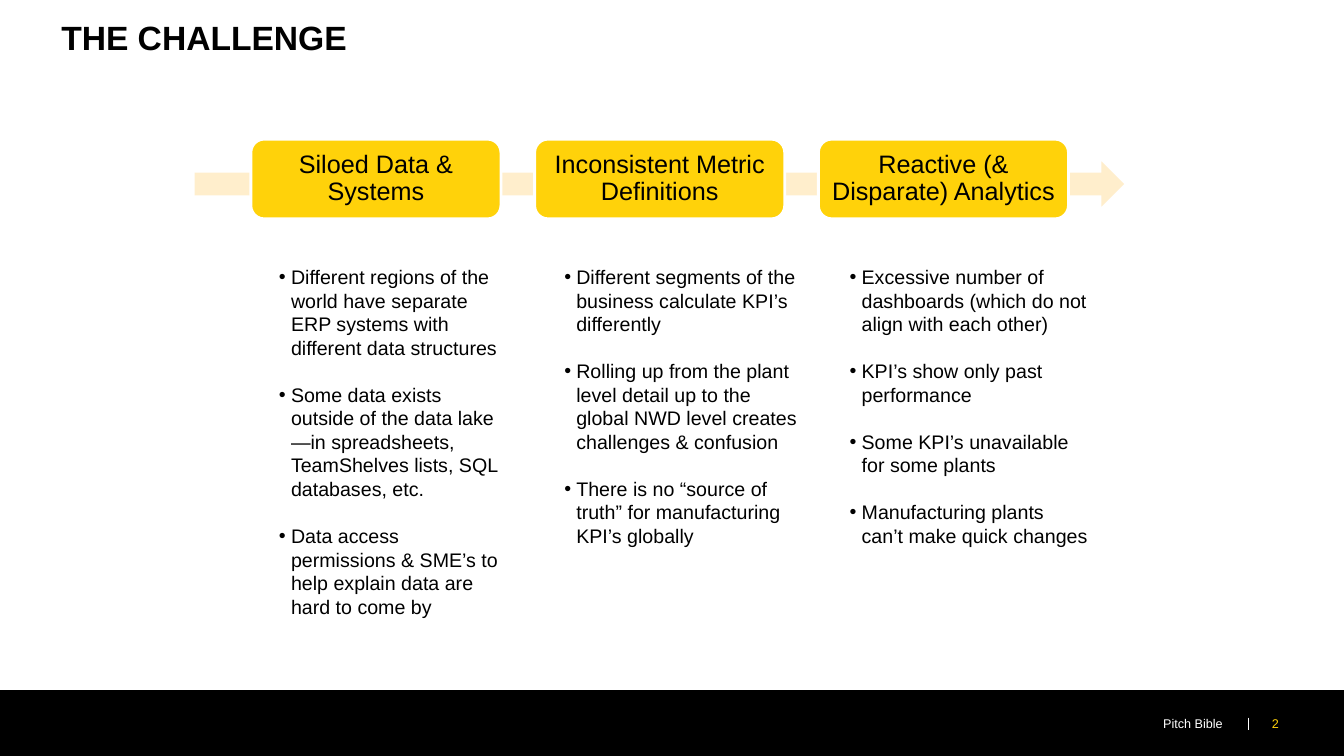
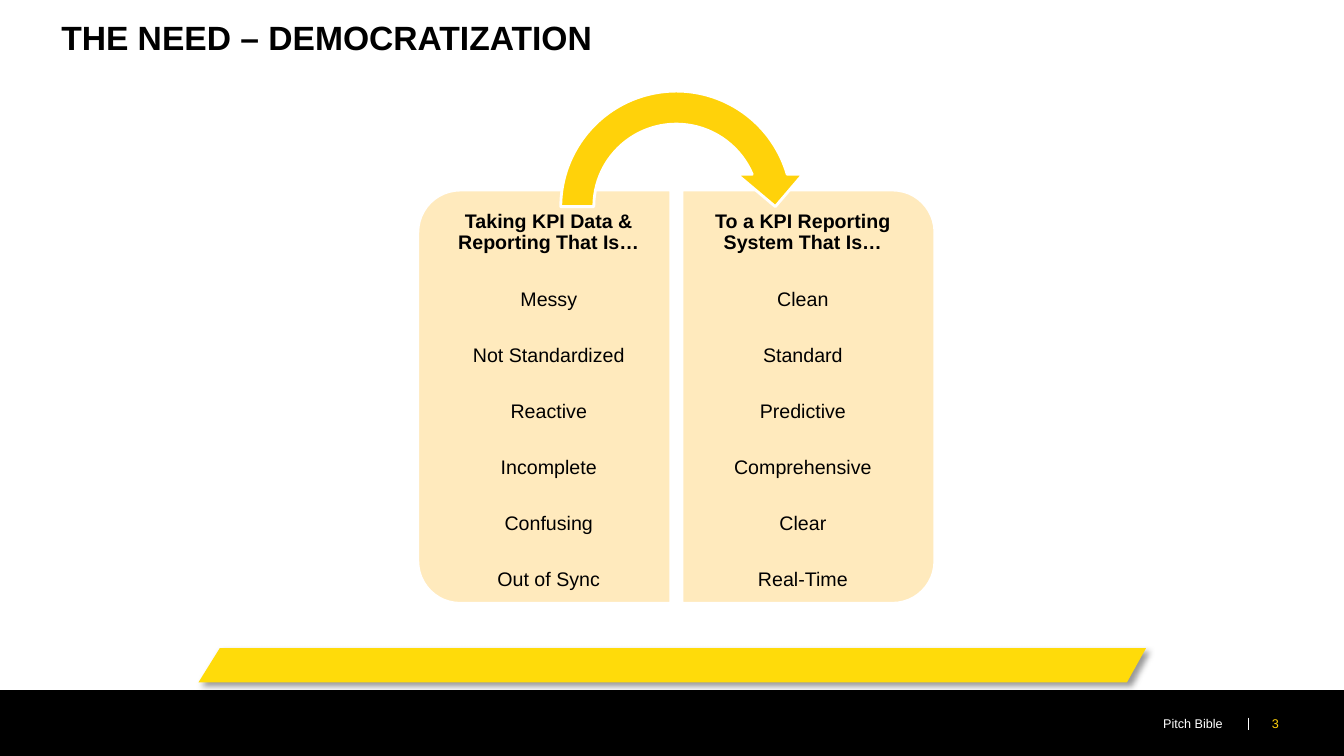
from lxml.etree import SubElement
from pptx import Presentation
from pptx.dml.color import RGBColor
from pptx.enum.shapes import MSO_CONNECTOR as CONNECTOR, MSO_SHAPE as SHAPE
from pptx.enum.text import MSO_ANCHOR as ANCHOR, PP_ALIGN as ALIGN
from pptx.oxml.ns import qn
from pptx.util import Pt

COLORS = {
    "black": "000000",
    "white": "FFFFFF",
    "yellow": "FFD20A",
    "band": "FFDB0A",
    "arrow": "FFEECC",
    "panel": "FFEABD",
}
FONT = "Arial"
WIDTH, HEIGHT = 960, 540
TITLES = ["THE CHALLENGE", "THE NEED – DEMOCRATIZATION"]


def paint(shape, fill, outline=None):
    shape.shadow.inherit = False
    shape.fill.solid()
    shape.fill.fore_color.rgb = RGBColor.from_string(COLORS[fill])
    if outline:
        shape.line.color.rgb = RGBColor.from_string(COLORS[outline])
        shape.line.width = Pt(2)
    else:
        shape.line.fill.background()


def write(shape, lines, size, color="black", align=ALIGN.LEFT, anchor=ANCHOR.TOP,
          margins=(7.2, 3.6, 7.2, 3.6), spacing=1, gap=0):
    frame = shape.text_frame
    frame.text = "\n".join(lines)
    frame.word_wrap = True
    frame.vertical_anchor = anchor
    frame.margin_left, frame.margin_top, frame.margin_right, frame.margin_bottom = map(Pt, margins)
    for paragraph in frame.paragraphs:
        paragraph.alignment = align
        paragraph.line_spacing = spacing
        paragraph.space_after = Pt(gap)
        font = paragraph.runs[0].font
        font.name, font.size = FONT, Pt(size)
        font.color.rgb = RGBColor.from_string(COLORS[color])
    return frame


presentation = Presentation()
presentation.slide_width, presentation.slide_height = Pt(WIDTH), Pt(HEIGHT)

# Shared title and footer
for number, title in enumerate(TITLES, start=2):
    slide = presentation.slides.add_slide(presentation.slide_layouts[6])
    footer = slide.shapes.add_shape(SHAPE.RECTANGLE, 0, Pt(493), Pt(WIDTH), Pt(HEIGHT - 493))
    paint(footer, "black")
    label = slide.shapes.add_textbox(Pt(688), Pt(507.6), Pt(192.4), Pt(18))
    write(label, ["Pitch Bible"], 9, "white", ALIGN.RIGHT)
    divider = slide.shapes.add_connector(CONNECTOR.STRAIGHT, Pt(891.4), Pt(512.6), Pt(891.4), Pt(521.3))
    divider.line.color.rgb = RGBColor.from_string(COLORS["white"])
    divider.line.width = Pt(0.5)
    SubElement(divider._element.spPr, qn("a:effectLst"))
    page = slide.shapes.add_textbox(Pt(901.4), Pt(504.7), Pt(41), Pt(23.8))
    write(page, [str(number)], 9, "yellow", anchor=ANCHOR.MIDDLE)
    heading = slide.shapes.add_textbox(Pt(36.7), 0, Pt(892), Pt(52.6))
    frame = write(heading, [title], 24, anchor=ANCHOR.MIDDLE)
    frame.paragraphs[0].runs[0].font.bold = True

challenge, need = presentation.slides

# Challenge: arrow behind three themes
arrow = challenge.shapes.add_shape(SHAPE.RIGHT_ARROW, Pt(139), Pt(115.2), Pt(664), Pt(32.4))
paint(arrow, "arrow")

# Theme, width of its bullet list, bullets
THEMES = [
    ("Siloed Data & Systems", 178.6, [
        "Different regions of the world have separate ERP systems with different data structures",
        "Some data exists outside of the data lake—in spreadsheets, TeamShelves lists, SQL databases, etc.",
        "Data access permissions & SME’s to help explain data are hard to come by",
    ]),
    ("Inconsistent Metric Definitions", 185.8, [
        "Different segments of the business calculate KPI’s differently",
        "Rolling up from the plant level detail up to the global NWD level creates challenges & confusion",
        "There is no “source of truth” for manufacturing KPI’s globally",
    ]),
    ("Reactive (& Disparate) Analytics", 185.8, [
        "Excessive number of dashboards (which do not align with each other)",
        "KPI’s show only past performance",
        "Some KPI’s unavailable for some plants",
        "Manufacturing plants can’t make quick changes",
    ]),
]
for index, (theme, list_width, bullets) in enumerate(THEMES):
    box = challenge.shapes.add_shape(
        SHAPE.ROUNDED_RECTANGLE, Pt(179.2 + 202.7 * index), Pt(99.4), Pt(178.6), Pt(56.9))
    paint(box, "yellow", "white")
    write(box, [theme], 18, align=ALIGN.CENTER, anchor=ANCHOR.MIDDLE, margins=(5, 5, 5, 5), spacing=0.9)

    bullet_list = challenge.shapes.add_textbox(
        Pt(192.2 + 203.8 * index), Pt(185.8), Pt(list_width), Pt(244.8))
    frame = write(bullet_list, bullets, 14, gap=16.8)
    for paragraph in frame.paragraphs:
        properties = paragraph._p.get_or_add_pPr()
        properties.set("marL", str(Pt(8.6)))
        properties.set("indent", str(-Pt(8.6)))
        SubElement(properties, qn("a:buFont"), typeface=FONT)
        SubElement(properties, qn("a:buChar"), char="•")

# Need: two facing panels, each with rotation, lefts of panel and text, margins, lines
PANELS = [
    (270, 241.2, 307.4, (4.3, 7.2, 6.5, 7.2), [
        "Taking KPI Data & Reporting That Is…", "Messy", "Not Standardized",
        "Reactive", "Incomplete", "Confusing", "Out of Sync"]),
    (90, 429.8, 486.7, (6.5, 7.2, 4.3, 7.2), [
        "To a KPI Reporting System That Is…", "Clean", "Standard",
        "Predictive", "Comprehensive", "Clear", "Real-Time"]),
]
for rotation, panel_left, text_left, margins, lines in PANELS:
    panel = need.shapes.add_shape(
        SHAPE.ROUND_2_SAME_RECTANGLE, Pt(panel_left), Pt(193), Pt(295.2), Pt(180.7))
    panel.rotation = rotation
    paint(panel, "panel", "white")
    text_box = need.shapes.add_textbox(Pt(text_left), Pt(144), Pt(171.4), Pt(278))
    frame = write(text_box, lines, 14, align=ALIGN.CENTER, margins=margins, spacing=0.9, gap=25)
    frame.paragraphs[0].runs[0].font.bold = True

# Curved arrow from one panel to the other
curve = need.shapes.add_shape(SHAPE.CIRCULAR_ARROW, Pt(388.8), Pt(53.3), Pt(188.6), Pt(188.6))
for index, value in enumerate([0.125, 11.42, 204.58, 108, 0.125]):
    curve.adjustments[index] = value
paint(curve, "yellow", "white")

# Slanted band with a soft shadow
builder = need.shapes.build_freeform(Pt(157), Pt(463), scale=1.0)
builder.add_line_segments([(Pt(x), Pt(y)) for x, y in [(818.6, 463), (805, 487.4), (141.8, 487.4)]])
band = builder.convert_to_shape()
paint(band, "band")
effects = band._element.spPr.find(qn("a:effectLst"))
shadow = SubElement(effects, qn("a:outerShdw"), blurRad=str(Pt(4)), dist=str(Pt(3)),
                    dir=str(45 * 60000), algn="tl", rotWithShape="0")
shade = SubElement(shadow, qn("a:srgbClr"), val=COLORS["black"])
SubElement(shade, qn("a:alpha"), val="40000")

presentation.save("out.pptx")
